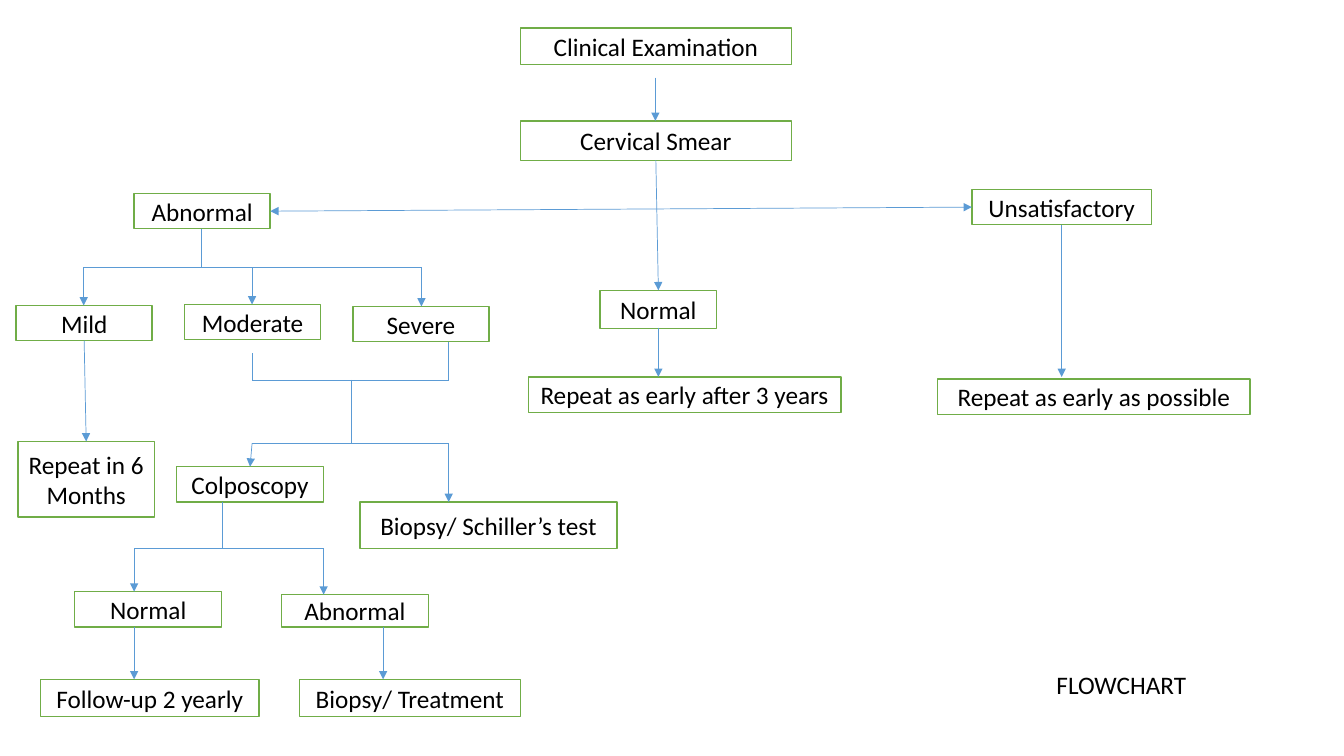
"""Build the cervical screening flowchart slide."""
from dataclasses import dataclass
from typing import NamedTuple

from lxml import etree
from pptx import Presentation
from pptx import util as u
from pptx.dml.color import RGBColor
from pptx.enum import shapes, text
from pptx.oxml import ns


@dataclass(frozen=True)
class Theme:
    font: str = "Calibri"
    size: u.Pt = u.Pt(18)
    ink: RGBColor = RGBColor(0x00, 0x00, 0x00)
    paper: RGBColor = RGBColor(0xFF, 0xFF, 0xFF)
    border: RGBColor = RGBColor(0x70, 0xAD, 0x47)
    arrow: RGBColor = RGBColor(0x5B, 0x9B, 0xD5)
    border_width: u.Pt = u.Pt(1)
    arrow_width: u.Pt = u.Pt(0.5)


class Step(NamedTuple):
    label: str
    left: float
    top: float
    width: float
    height: float = 0.35


class Line(NamedTuple):
    x1: float
    y1: float
    x2: float
    y2: float
    ends: tuple[str, ...] = ()


class Drop(NamedTuple):
    x: float
    tip_y: float
    shift: float = 0


class Branch(NamedTuple):
    stem_x: float
    stem_top: float
    bar_y: float
    drops: tuple[Drop, ...]


class Link(NamedTuple):
    source: Step
    source_side: int
    target: Step
    target_side: int
    ends: tuple[str, ...]


THEME = Theme()
TOP, LEFT, BOTTOM, RIGHT = range(4)
FORWARD = ("tailEnd",)
BOTH = ("headEnd", "tailEnd")

SMEAR = Step("Cervical Smear", 5.16, 1.2, 2.69, 0.39)
NORMAL = Step("Normal", 5.95, 2.88, 1.16, 0.38)
UNSATISFACTORY = Step("Unsatisfactory", 9.64, 1.88, 1.78)
ABNORMAL = Step("Abnormal", 1.33, 1.92, 1.35)
MILD = Step("Mild", 0.16, 3.03, 1.35)
REPEAT_6_MONTHS = Step("Repeat in 6 Months", 0.18, 4.38, 1.35, 0.75)

STEPS = (
    Step("Clinical Examination", 5.16, 0.28, 2.69, 0.36),
    SMEAR,
    NORMAL,
    UNSATISFACTORY,
    ABNORMAL,
    Step("Repeat as early as possible", 9.3, 3.76, 3.1),
    Step("Repeat as early after 3 years", 5.24, 3.74, 3.1),
    MILD,
    Step("Moderate", 1.83, 3.02, 1.35),
    Step("Severe", 3.5, 3.04, 1.35),
    REPEAT_6_MONTHS,
    Step("Biopsy/ Schiller’s test", 3.57, 4.98, 2.55, 0.46),
    Step("Colposcopy", 1.75, 4.63, 1.46),
    Step("Abnormal", 2.79, 5.9, 1.46, 0.32),
    Step("Normal", 0.74, 5.87, 1.46),
    Step("Biopsy/ Treatment", 2.97, 6.74, 2.19, 0.37),
    Step("Follow-up 2 yearly", 0.4, 6.74, 2.17, 0.37),
)

LINKS = (
    Link(ABNORMAL, RIGHT, UNSATISFACTORY, LEFT, BOTH),
    Link(SMEAR, BOTTOM, NORMAL, TOP, FORWARD),
    Link(MILD, BOTTOM, REPEAT_6_MONTHS, TOP, FORWARD),
)

BRANCHES = (
    Branch(2, 2.27, 2.65, (Drop(0.83, 3.03), Drop(2.5, 3.02), Drop(4.18, 3.04))),
    Branch(3.48, 3.77, 4.4, (Drop(2.5, 4.63, -0.02), Drop(4.45, 4.98))),
    Branch(2.21, 4.98, 5.44, (Drop(1.33, 5.87), Drop(3.21, 5.9))),
)

LINES = (
    Line(6.5, 0.77, 6.5, 1.2, FORWARD),
    Line(10.53, 2.23, 10.53, 3.74, FORWARD),
    Line(6.53, 3.25, 6.53, 3.74, FORWARD),
    Line(2.5, 3.77, 4.45, 3.77),
    Line(2.5, 3.77, 2.5, 3.5),
    Line(4.45, 3.77, 4.45, 3.39),
    Line(1.33, 6.22, 1.33, 6.74, FORWARD),
    Line(3.8, 6.22, 3.8, 6.74, FORWARD),
)


def write(frame, words: str, align: text.PP_ALIGN) -> None:
    """Put one styled run into a text frame."""
    frame.word_wrap = True
    paragraph = frame.paragraphs[0]
    paragraph.alignment = align
    run = paragraph.add_run()
    run.text = words
    run.font.name = THEME.font
    run.font.size = THEME.size
    run.font.color.rgb = THEME.ink


def draw_step(slide, step: Step):
    """Draw one bordered box and return it."""
    box = slide.shapes.add_shape(
        shapes.MSO_SHAPE.RECTANGLE, *(u.Inches(length) for length in step[1:])
    )
    box.shadow.inherit = False
    box.fill.solid()
    box.fill.fore_color.rgb = THEME.paper
    box.line.color.rgb = THEME.border
    box.line.width = THEME.border_width
    box.text_frame.vertical_anchor = text.MSO_ANCHOR.MIDDLE
    write(box.text_frame, step.label, text.PP_ALIGN.CENTER)
    return box


def draw_line(slide, line: Line):
    """Draw a straight connector with its arrowheads and return it."""
    connector = slide.shapes.add_connector(
        shapes.MSO_CONNECTOR.STRAIGHT, *(u.Inches(length) for length in line[:4])
    )
    connector.line.color.rgb = THEME.arrow
    connector.line.width = THEME.arrow_width
    outline = connector.line._get_or_add_ln()
    for end in line.ends:
        etree.SubElement(outline, ns.qn(f"a:{end}"), type="triangle")
    etree.SubElement(connector._element.spPr, ns.qn("a:effectLst"))
    return connector


def draw_link(slide, link: Link, boxes: dict) -> None:
    """Draw an arrow glued to the sides of two boxes."""
    connector = draw_line(slide, Line(0, 0, 1, 1, link.ends))
    connector.begin_connect(boxes[link.source], link.source_side)
    connector.end_connect(boxes[link.target], link.target_side)


def draw_branch(slide, branch: Branch) -> None:
    """Draw a stem, its crossbar and the arrows below it."""
    y = branch.bar_y
    draw_line(slide, Line(branch.stem_x, branch.stem_top, branch.stem_x, y))
    draw_line(slide, Line(branch.drops[0].x, y, branch.drops[-1].x, y))
    for drop in branch.drops:
        draw_line(slide, Line(drop.x, y, drop.x + drop.shift, drop.tip_y, FORWARD))


def main() -> None:
    """Assemble and save the slide."""
    deck = Presentation()
    deck.slide_width, deck.slide_height = u.Inches(13.33), u.Inches(7.5)
    slide = deck.slides.add_slide(deck.slide_layouts[6])
    boxes = {step: draw_step(slide, step) for step in STEPS}
    for link in LINKS:
        draw_link(slide, link, boxes)
    for branch in BRANCHES:
        draw_branch(slide, branch)
    for line in LINES:
        draw_line(slide, line)
    title = slide.shapes.add_textbox(
        u.Inches(10.38), u.Inches(6.59), u.Inches(2.51), u.Inches(0.4)
    )
    write(title.text_frame, "FLOWCHART", text.PP_ALIGN.LEFT)
    deck.save("out.pptx")


main()
